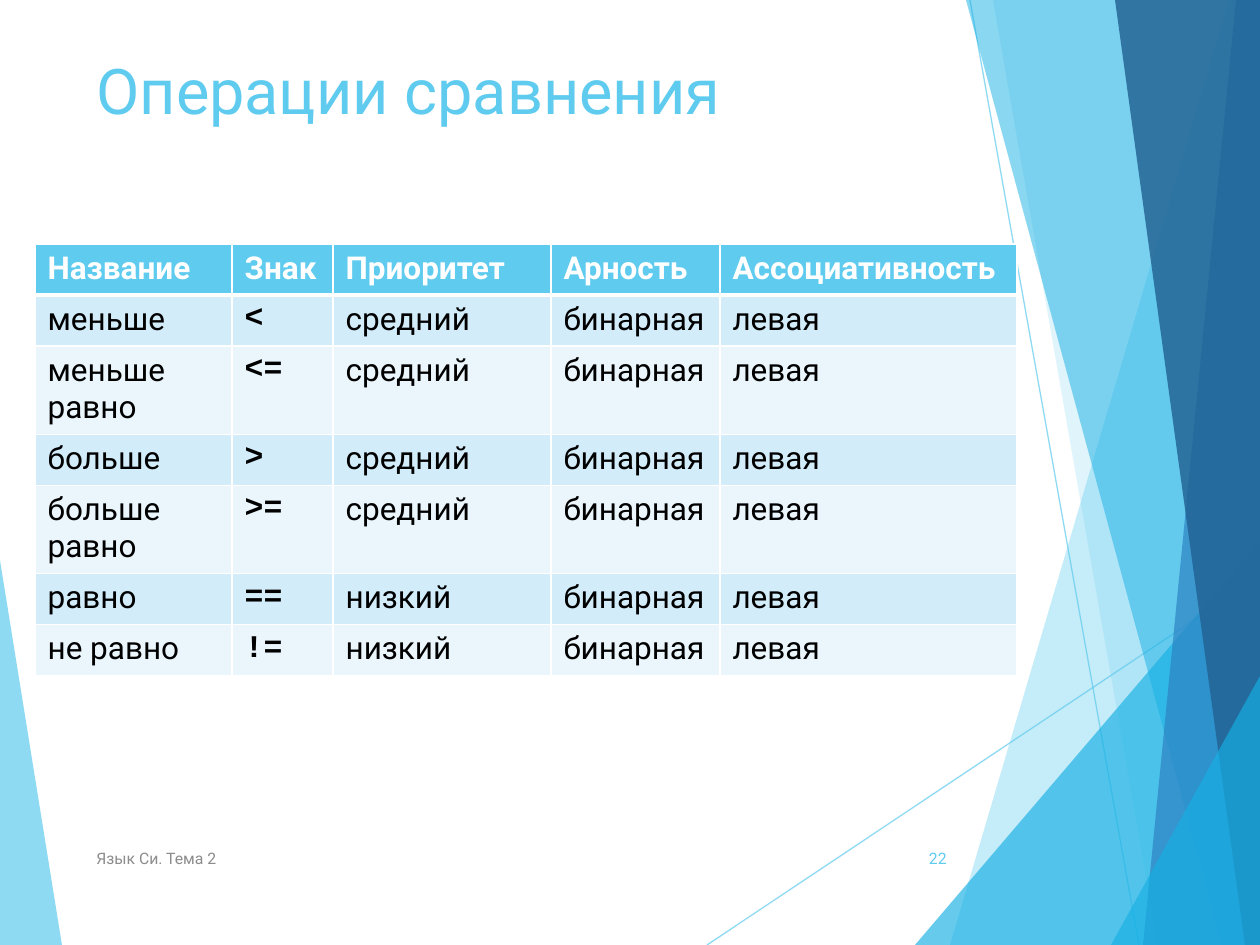
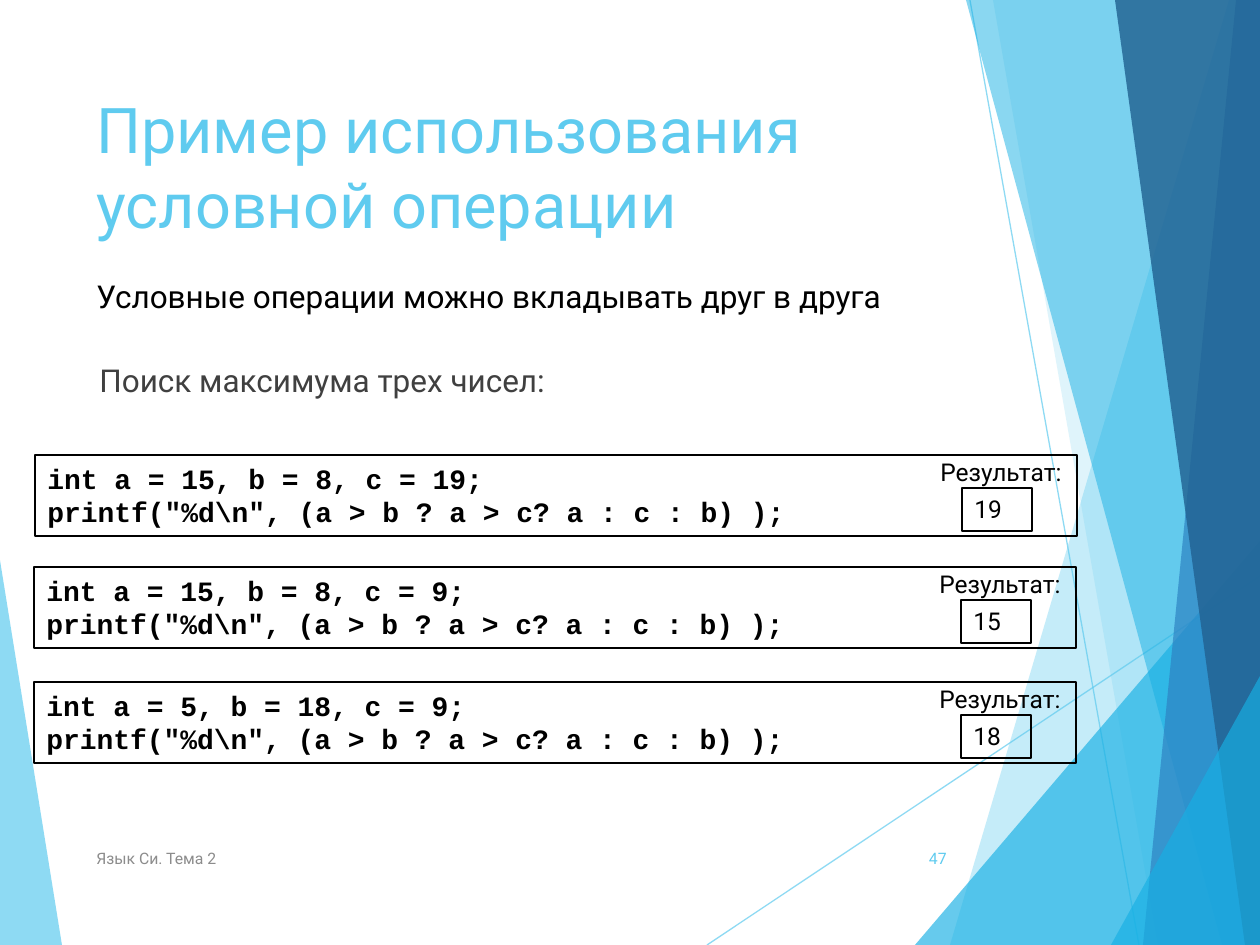
"""Build two slides of a C language lecture: comparison operators and the conditional operator."""

from dataclasses import dataclass

from lxml import etree
from pptx import Presentation
from pptx.dml.color import RGBColor
from pptx.enum.shapes import MSO_CONNECTOR, MSO_SHAPE
from pptx.enum.text import MSO_ANCHOR, PP_ALIGN
from pptx.oxml.ns import qn
from pptx.util import Emu, Pt

PIXEL = 914400 / 126
WIDTH, HEIGHT = 1260, 945
STRAIGHT = MSO_CONNECTOR.STRAIGHT
RECTANGLE = MSO_SHAPE.RECTANGLE
TOP, MIDDLE = MSO_ANCHOR.TOP, MSO_ANCHOR.MIDDLE
LEFT, RIGHT = PP_ALIGN.LEFT, PP_ALIGN.RIGHT
SANS, MONO = "Roboto", "Courier New"

COLORS = {
    "sky": "5FCBEF",
    "cyan": "17B0E4",
    "blue": "2E83C3",
    "navy": "226292",
    "band_dark": "D2ECF9",
    "band_light": "EAF6FC",
    "white": "FFFFFF",
    "black": "000000",
    "body": "404040",
    "footer": "8C8C8C",
}


@dataclass(frozen=True)
class Box:
    left: int
    top: int
    width: int
    height: int

    def emu(self) -> tuple:
        return px(self.left), px(self.top), px(self.width), px(self.height)


@dataclass(frozen=True)
class Style:
    size: int
    color: str
    font: str = SANS
    bold: bool = False


@dataclass(frozen=True)
class Facet:
    color: str
    opacity: int
    points: tuple


@dataclass(frozen=True)
class Ray:
    start: tuple
    end: tuple


@dataclass(frozen=True)
class Example:
    left: int
    top: int
    declaration: str
    result: str


TITLE = Style(36, "sky")
LEAD = Style(18, "black")
BODY = Style(18, "body")
HEADER = Style(18, "white", bold=True)
SIGN = Style(18, "black", MONO, True)
CODE = Style(16, "black", MONO, True)
RESULT = Style(14, "black")
FOOTER = Style(9, "footer")
NUMBER = Style(9, "sky")

BACKDROP = (
    Facet("sky", 70, ((0, 560), (62, HEIGHT), (0, HEIGHT))),
    Ray((707, HEIGHT), (WIDTH, 576)),
    Ray((970, 0), (1139, HEIGHT)),
    Facet("sky", 36, ((1229, 0), (950, HEIGHT), (WIDTH, HEIGHT), (WIDTH, 0))),
    Facet("sky", 20, ((993, 0), (1158, HEIGHT), (WIDTH, HEIGHT), (WIDTH, 0))),
    Facet("cyan", 66, ((915, HEIGHT), (WIDTH, 541), (WIDTH, HEIGHT))),
    Facet("cyan", 50, ((966, 0), (1222, HEIGHT), (WIDTH, HEIGHT), (WIDTH, 0))),
    Facet("blue", 70, ((1236, 0), (1143, HEIGHT), (WIDTH, HEIGHT), (WIDTH, 0))),
    Facet("navy", 82, ((1115, 0), (1245, HEIGHT), (WIDTH, HEIGHT), (WIDTH, 0))),
    Facet("cyan", 66, ((1111, HEIGHT), (WIDTH, 676), (WIDTH, HEIGHT))),
)

COLUMN_WIDTHS = (197, 101, 218, 169, 297)
ROW_HEIGHT, TALL_ROW_HEIGHT = 51, 87
HEADINGS = ("Название ", "Знак", "Приоритет", "Арность", "Ассоциативность")
OPERATORS = (
    ("меньше", "<", "средний"),
    ("меньше равно", "<=", "средний"),
    ("больше", ">", "средний"),
    ("больше равно", ">=", "средний"),
    ("равно", "==", "низкий"),
    ("не равно", "!=", "низкий"),
)

PRINT_LINE = 'printf("%d\\n", (a > b ? a > c? a : c : b) );'
EXAMPLES = (
    Example(35, 455, "int a = 15, b = 8, с = 19;", "19"),
    Example(34, 567, "int a = 15, b = 8, с = 9;", "15"),
    Example(34, 682, "int a = 5, b = 18, с = 9;", "18"),
)


def px(length: int) -> Emu:
    return Emu(round(length * PIXEL))


def rgb(name: str) -> RGBColor:
    return RGBColor.from_string(COLORS[name])


def set_opacity(shape, percent: int) -> None:
    color = shape.element.spPr.find(".//" + qn("a:srgbClr"))
    etree.SubElement(color, qn("a:alpha"), val=str(percent * 1000))


def write(frame, lines: tuple, style: Style, align=LEFT) -> None:
    for index, line in enumerate(lines):
        paragraph = frame.paragraphs[0] if index == 0 else frame.add_paragraph()
        paragraph.alignment = align
        run = paragraph.add_run()
        run.text = line
        run.font.name = style.font
        run.font.size = Pt(style.size)
        run.font.bold = style.bold
        run.font.color.rgb = rgb(style.color)


def add_text(slide, box: Box, text: str, style: Style, anchor=TOP, align=LEFT) -> None:
    frame = slide.shapes.add_textbox(*box.emu()).text_frame
    frame.word_wrap = True
    frame.vertical_anchor = anchor
    write(frame, (text,), style, align)


def add_outlined_box(slide, box: Box, lines: tuple, style: Style) -> None:
    shape = slide.shapes.add_shape(RECTANGLE, *box.emu())
    shape.shadow.inherit = False
    shape.fill.background()
    shape.line.color.rgb = rgb("black")
    shape.line.width = Pt(0.75)
    shape.text_frame.word_wrap = True
    shape.text_frame.vertical_anchor = TOP
    write(shape.text_frame, lines, style)


def add_facet(slide, facet: Facet) -> None:
    builder = slide.shapes.build_freeform(*facet.points[0], scale=PIXEL)
    builder.add_line_segments(facet.points[1:], close=True)
    shape = builder.convert_to_shape()
    shape.shadow.inherit = False
    shape.fill.solid()
    shape.fill.fore_color.rgb = rgb(facet.color)
    set_opacity(shape, facet.opacity)
    shape.line.fill.background()


def add_ray(slide, ray: Ray) -> None:
    ends = [px(value) for value in ray.start + ray.end]
    connector = slide.shapes.add_connector(STRAIGHT, *ends)
    connector.line.color.rgb = rgb("sky")
    connector.line.width = Pt(0.75)
    set_opacity(connector, 70)
    etree.SubElement(connector.element.spPr, qn("a:effectLst"))


def add_base_slide(presentation, title: str, title_top: int, number: str):
    slide = presentation.slides.add_slide(presentation.slide_layouts[6])
    for part in BACKDROP:
        if isinstance(part, Ray):
            add_ray(slide, part)
        else:
            add_facet(slide, part)
    add_text(slide, Box(84, title_top, 874, 181), title, TITLE)
    add_text(slide, Box(84, 833, 638, 50), "Язык Си. Тема 2", FOOTER, MIDDLE)
    add_text(slide, Box(888, 833, 71, 50), number, NUMBER, MIDDLE, RIGHT)
    return slide


def set_borders(cell_element, top: int, bottom: int) -> None:
    properties = cell_element.get_or_add_tcPr()
    widths = {"a:lnL": 1, "a:lnR": 1, "a:lnT": top, "a:lnB": bottom}
    for index, (tag, width) in enumerate(widths.items()):
        border = etree.Element(qn(tag), w=str(Pt(width)))
        fill = etree.SubElement(border, qn("a:solidFill"))
        etree.SubElement(fill, qn("a:srgbClr"), val=COLORS["white"])
        properties.insert(index, border)


def add_operator_table(slide) -> None:
    rows = [HEADINGS] + [row + ("бинарная", "левая") for row in OPERATORS]
    heights = [TALL_ROW_HEIGHT if " равно" in row[0] and row[0] != "не равно"
               else ROW_HEIGHT for row in rows]
    box = Box(35, 244, sum(COLUMN_WIDTHS), sum(heights))
    frame = slide.shapes.add_table(len(rows), len(HEADINGS), *box.emu())
    table = frame.table
    table.horz_banding = False
    for column, width in zip(table.columns, COLUMN_WIDTHS):
        column.width = px(width)
    for row_index, row in enumerate(rows):
        table.rows[row_index].height = px(heights[row_index])
        band = "band_dark" if row_index % 2 else "band_light"
        for column_index, text in enumerate(row):
            cell = table.cell(row_index, column_index)
            cell.fill.solid()
            cell.fill.fore_color.rgb = rgb(band if row_index else "sky")
            style = SIGN if column_index == 1 else LEAD
            write(cell.text_frame, (text,), style if row_index else HEADER)
    for row_index, row_element in enumerate(frame.element.iter(qn("a:tr"))):
        for cell_element in row_element.iter(qn("a:tc")):
            set_borders(cell_element, 3 if row_index == 1 else 1, 1 if row_index else 3)


def add_example(slide, example: Example) -> None:
    left, top = example.left, example.top
    add_outlined_box(slide, Box(left, top, 1042, 81), (example.declaration, PRINT_LINE), CODE)
    add_text(slide, Box(left + 893, top - 4, 179, 43), "Результат:", RESULT)
    add_outlined_box(slide, Box(left + 927, top + 33, 70, 43), (example.result,), RESULT)


def build_comparison_slide(presentation) -> None:
    slide = add_base_slide(presentation, "Операции сравнения", 45, "22")
    add_operator_table(slide)


def build_conditional_slide(presentation) -> None:
    title = "Пример использования условной операции"
    slide = add_base_slide(presentation, title, 84, "47")
    add_text(slide, Box(87, 355, 874, 66), "Поиск максимума трех чисел:", BODY)
    for example in EXAMPLES:
        add_example(slide, example)
    lead = "Условные операции можно вкладывать друг в друга"
    add_text(slide, Box(84, 271, 834, 50), lead, LEAD)


def main() -> None:
    presentation = Presentation()
    presentation.slide_width = px(WIDTH)
    presentation.slide_height = px(HEIGHT)
    build_comparison_slide(presentation)
    build_conditional_slide(presentation)
    presentation.save("out.pptx")


main()
